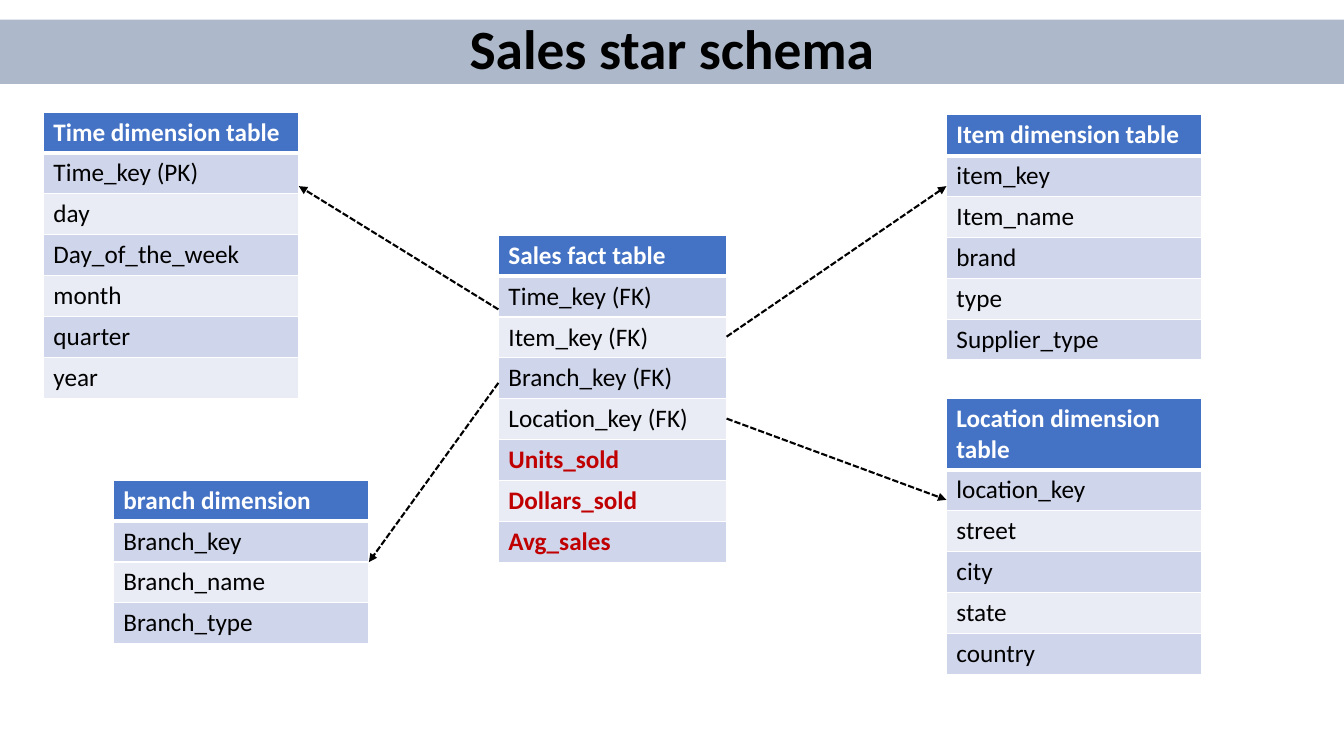
from dataclasses import dataclass

from lxml.etree import SubElement as Sub
from pptx import Presentation
from pptx.dml.color import RGBColor as RGB
from pptx.enum.dml import MSO_LINE as Dash
from pptx.enum.shapes import MSO_CONNECTOR as Link
from pptx.enum.text import MSO_ANCHOR as Anchor, PP_ALIGN as Align
from pptx.oxml.ns import qn
from pptx.util import Pt


@dataclass(frozen=True)
class Theme:
    font: str = "Calibri"
    title: float = 39.6
    body: float = 18
    band: RGB = RGB(0xAD, 0xB9, 0xCA)
    head: RGB = RGB(0x44, 0x72, 0xC4)
    odd: RGB = RGB(0xCF, 0xD5, 0xEA)
    even: RGB = RGB(0xE9, 0xEB, 0xF5)
    ink: RGB = RGB(0, 0, 0)
    white: RGB = RGB(0xFF, 0xFF, 0xFF)
    red: RGB = RGB(0xC0, 0, 0)


LOOK = Theme()
ROW = 29.2
WIDE = 182.5  # width of a dimension table

# Left, top, width, heading, fields
TABLES = [
    (356, 168, 163, "Sales fact table",
     ["Time_key (FK)", "Item_key (FK)", "Branch_key (FK)", "Location_key (FK)",
      "Units_sold", "Dollars_sold", "Avg_sales"]),
    (31, 80, WIDE, "Time dimension table",
     ["Time_key (PK)", "day", "Day_of_the_week", "month", "quarter", "year"]),
    (81, 343, WIDE, "branch dimension",
     ["Branch_key", "Branch_name", "Branch_type"]),
    (676, 82, WIDE, "Item dimension table",
     ["item_key", "Item_name", "brand", "type", "Supplier_type"]),
    (676, 284.5, WIDE, "Location dimension table",
     ["location_key", "street", "city", "state", "country"]),
]
MEASURES = {"Units_sold", "Dollars_sold", "Avg_sales"}

# From a foreign key to its dimension: x, y, x, y
ARROWS = [
    (356, 221, 213.5, 133),
    (356, 273.5, 263.5, 401.5),
    (519, 240.5, 676, 133),
    (519, 299, 676, 357),
]


def style(para, size, color, bold):
    font = para.font
    font.name, font.size, font.bold = LOOK.font, Pt(size), bold
    font.color.rgb = color


def add_title(slide, text):
    title = slide.shapes.title
    title.left, title.top = Pt(0), Pt(14)
    title.width, title.height = Pt(960), Pt(46)
    title.fill.solid()
    title.fill.fore_color.rgb = LOOK.band
    frame = title.text_frame
    frame.text = text
    frame.vertical_anchor = Anchor.MIDDLE
    para = frame.paragraphs[0]
    para.alignment, para.line_spacing = Align.CENTER, 0.9
    style(para, LOOK.title, LOOK.ink, True)


def add_rules(cell, top, base):
    """Give the cell white borders, with its own top and base widths."""
    props = cell._tc.get_or_add_tcPr()
    sides = [("L", 1), ("R", 1), ("T", top), ("B", base)]
    for spot, (side, width) in enumerate(sides):
        line = Sub(props, qn("a:ln" + side), w=str(Pt(width)))
        fill = Sub(line, qn("a:solidFill"))
        Sub(fill, qn("a:srgbClr"), val=str(LOOK.white))
        props.insert(spot, line)  # borders come before the fill


def add_cell(cell, text, fill, color, bold):
    cell.text = text
    cell.fill.solid()
    cell.fill.fore_color.rgb = fill
    style(cell.text_frame.paragraphs[0], LOOK.body, color, bold)


def add_grid(slide, left, top, width, head, fields):
    count = len(fields) + 1
    grid = slide.shapes.add_table(count, 1, Pt(left), Pt(top),
                                  Pt(width), Pt(ROW * count)).table
    for row in grid.rows:
        row.height = Pt(ROW)
    # Heading
    add_cell(grid.cell(0, 0), head, LOOK.head, LOOK.white, True)
    add_rules(grid.cell(0, 0), 1, 3)
    # Fields, with the measures in red
    for num, field in enumerate(fields, 1):
        cell = grid.cell(num, 0)
        key = field in MEASURES
        add_cell(cell, field, LOOK.odd if num % 2 else LOOK.even,
                 LOOK.red if key else LOOK.ink, key)
        add_rules(cell, 3 if num == 1 else 1, 1)


def add_arrow(slide, *ends):
    arrow = slide.shapes.add_connector(Link.STRAIGHT, *map(Pt, ends))
    line = arrow.line
    line.color.rgb = LOOK.ink
    line.width = Pt(1.5)
    line.dash_style = Dash.SQUARE_DOT
    props = arrow._element.spPr
    Sub(props.find(qn("a:ln")), qn("a:tailEnd"), type="triangle")
    Sub(props, qn("a:effectLst"))


def main():
    deck = Presentation()
    deck.slide_width, deck.slide_height = Pt(960), Pt(540)
    slide = deck.slides.add_slide(deck.slide_layouts.get_by_name("Title Only"))
    add_title(slide, "Sales star schema")
    for table in TABLES:
        add_grid(slide, *table)
    for ends in ARROWS:
        add_arrow(slide, *ends)
    deck.save("out.pptx")


if __name__ == "__main__":
    main()
